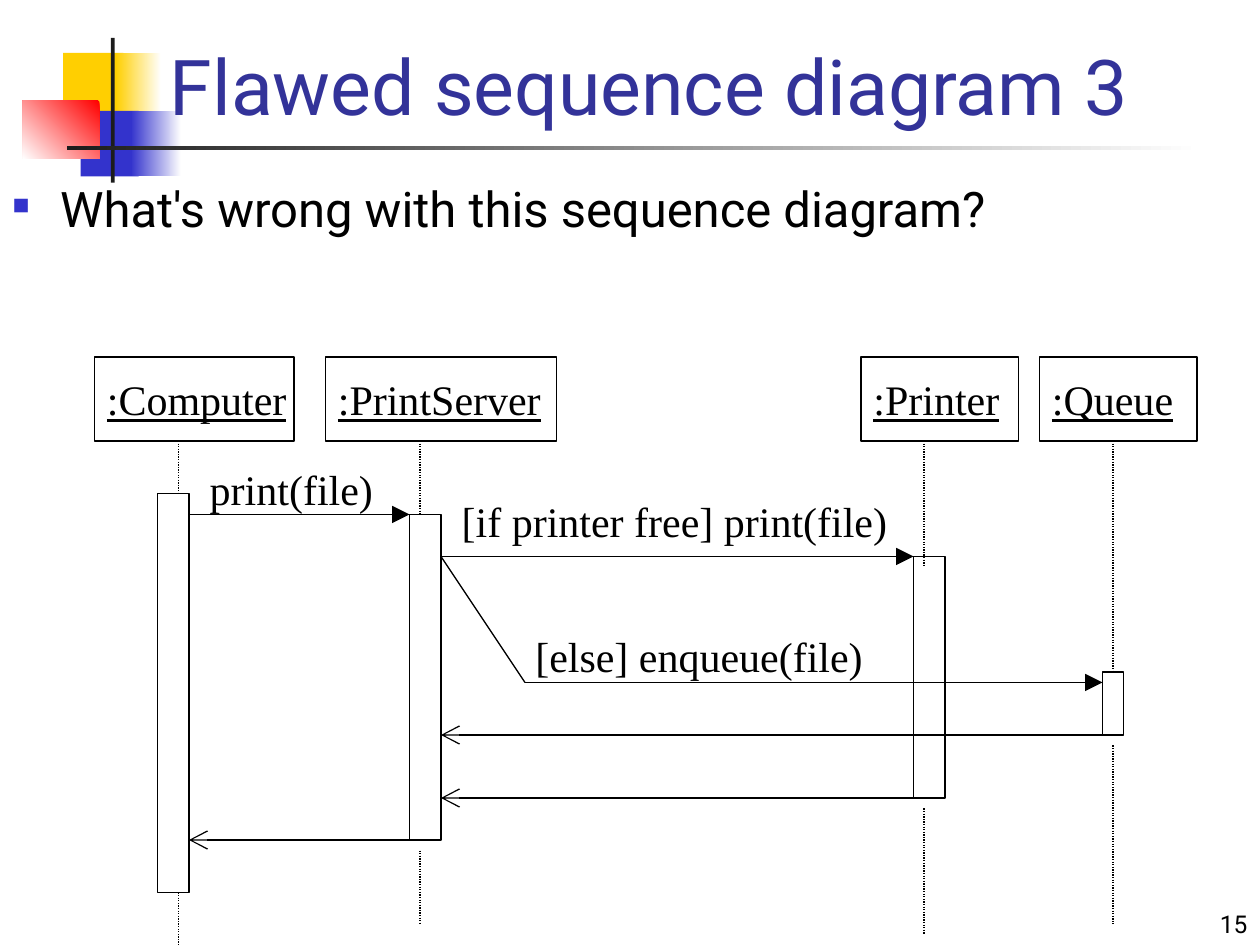
from lxml.etree import SubElement
from pptx import Presentation
from pptx.dml.color import RGBColor
from pptx.enum.dml import MSO_LINE
from pptx.enum.shapes import MSO_CONNECTOR, MSO_SHAPE
from pptx.enum.text import MSO_ANCHOR, PP_ALIGN
from pptx.oxml.ns import qn
from pptx.util import Inches, Pt

BLACK = RGBColor(0x00, 0x00, 0x00)
WHITE = RGBColor(0xFF, 0xFF, 0xFF)
INK = RGBColor(0x1C, 0x1C, 0x1C)
GOLD = RGBColor(0xFF, 0xCF, 0x01)
BLUE = RGBColor(0x33, 0x33, 0xCC)
NAVY = RGBColor(0x33, 0x33, 0x99)
RED = RGBColor(0xFF, 0x00, 0x00)
SANS, SERIF = "Roboto", "Times New Roman"

TITLE = "Flawed sequence diagram 3"
ASK = "What's wrong with this sequence diagram?"
PAGE = "15"

# Inches: left, top, width, height, colours (two make a gradient), angle
DECOR = [
    (0.5, 0.42, 0.48, 0.52, [GOLD], 0),
    (0.92, 0.42, 0.36, 0.52, [WHITE, GOLD], 180),
    (0.64, 0.88, 0.46, 0.52, [BLUE], 0),
    (1.04, 0.88, 0.4, 0.52, [WHITE, BLUE], 180),
    (0.18, 0.8, 0.61, 0.46, [RED, WHITE], 225),
    (0.88, 0.3, 0.03, 1.15, [INK], 0),
    (0.53, 1.16, 9, 0.03, [WHITE, INK], 180),
]

# The diagram sits on a grid of twelve cells to the inch.
CELL = 1 / 12
HEAD, TALL = 34, 8  # top and height of the object boxes
# name, box left, box width, lifeline x, bar (left, top, width, height),
# end of the upper lifeline, span of the lower one
ROLES = [
    (":Computer", 9, 19, 17, (15, 47, 3, 38), 47, (85, 90)),
    (":PrintServer", 31, 22, 40, (39, 49, 3, 31), 49, (81, 88)),
    (":Printer", 82, 15, 88, (87, 53, 3, 23), 54, (77, 89)),
    (":Queue", 99, 15, 106, (105, 64, 2, 6), 64, (71, 88)),
]
# x1, y1, x2, y2, arrowhead
CALLS = [
    (18, 49, 39, 49, "triangle"),
    (42, 53, 87, 53, "triangle"),
    (50, 65, 105, 65, "triangle"),
    (50, 65, 42, 53, None),
    (39, 80, 18, 80, "arrow"),
    (87, 76, 42, 76, "arrow"),
    (105, 70, 42, 70, "arrow"),
]
# text, left, top, width
LABELS = [
    ("print(file)", 18.8, 43.6, 18),
    ("[if printer free] print(file)", 42.8, 46.6, 43),
    ("[else] enqueue(file)", 49.8, 59.5, 34),
]

deck = Presentation()
deck.slide_width, deck.slide_height = Inches(10), Inches(7.5)
slide = deck.slides.add_slide(deck.slide_layouts[6])
shapes = slide.shapes


def grid(*cells):
    return [Inches(n * CELL) for n in cells]


def style(thing, form):
    for key, val in form.items():
        setattr(thing, key, val)


def write(text, spot, font, frame=None, para=None):
    """Add a text box at spot (EMU) and return its paragraph."""
    body = shapes.add_textbox(*spot).text_frame
    style(body, {"word_wrap": True, **(frame or {})})
    line = body.paragraphs[0]
    style(line, para or {})
    run = line.add_run()
    run.text = text
    font = dict(font)
    run.font.color.rgb = font.pop("color", BLACK)
    style(run.font, font)
    return line


def block(spot, tints=(), angle=0):
    """Add a rectangle: tinted without outline, or outlined without fill."""
    box = shapes.add_shape(MSO_SHAPE.RECTANGLE, *spot)
    box.shadow.inherit = False
    if len(tints) == 2:
        box.fill.gradient()
        box.fill.gradient_angle = angle
        for stop, tint in zip(box.fill.gradient_stops, tints):
            stop.color.rgb = tint
    elif tints:
        box.fill.solid()
        box.fill.fore_color.rgb = tints[0]
    else:
        box.fill.background()
    if tints:
        box.line.fill.background()
    else:
        box.line.color.rgb = BLACK
        box.line.width = Pt(0.75)


def link(ends, tip=None, dash=None):
    wire = shapes.add_connector(MSO_CONNECTOR.STRAIGHT, *grid(*ends))
    wire.line.color.rgb = BLACK
    wire.line.width = Pt(0.75)
    if dash:
        wire.line.dash_style = dash
    props = wire._element.spPr
    if tip:
        SubElement(props.find(qn("a:ln")), qn("a:tailEnd"),
                   type=tip, w="lg", len="lg")
    SubElement(props, qn("a:effectLst"))


def bullet(line, sign, tint, size, indent):
    props = line._p.get_or_add_pPr()
    props.set("marL", str(indent))
    props.set("indent", str(-indent))
    hue = SubElement(props, qn("a:buClr"))
    SubElement(hue, qn("a:srgbClr"), val=str(tint))
    SubElement(props, qn("a:buSzPct"), val=str(size * 1000))
    SubElement(props, qn("a:buChar"), char=sign)


for *spot, tints, angle in DECOR:
    block([Inches(n) for n in spot], tints, angle)

write(TITLE, [Inches(n) for n in (1.25, 0.17, 8.53, 0.92)],
      {"name": SANS, "size": Pt(44), "color": NAVY},
      {"vertical_anchor": MSO_ANCHOR.BOTTOM})
ask = write(ASK, [Inches(n) for n in (0, 1.42, 10, 6.08)],
            {"name": SANS, "size": Pt(28)},
            para={"line_spacing": 0.9, "space_before": Pt(7)})
bullet(ask, "■", BLUE, 48, Inches(0.38))

TERM = {"name": SERIF, "size": Pt(24)}
FLAT = {"word_wrap": False}
for name, left, wide, axis, bar, stop, rest in ROLES:
    block(grid(left, HEAD, wide, TALL))
    # One cell wider than the box, so that the longest name stays on one line
    write(name, grid(left, HEAD + 1, wide + 1, 6),
          {**TERM, "underline": True}, FLAT)
    block(grid(*bar))
    for start, end in ((HEAD + TALL, stop), rest):
        link((axis, start, axis, end), dash=MSO_LINE.ROUND_DOT)

for *ends, tip in CALLS:
    link(ends, tip)
for text, left, top, wide in LABELS:
    write(text, grid(left, top, wide, 6), TERM, FLAT)

write(PAGE, [Inches(n) for n in (8.5, 7, 1.5, 0.5)],
      {"name": SANS, "size": Pt(14)},
      {"vertical_anchor": MSO_ANCHOR.BOTTOM}, {"alignment": PP_ALIGN.RIGHT})

deck.save("out.pptx")
